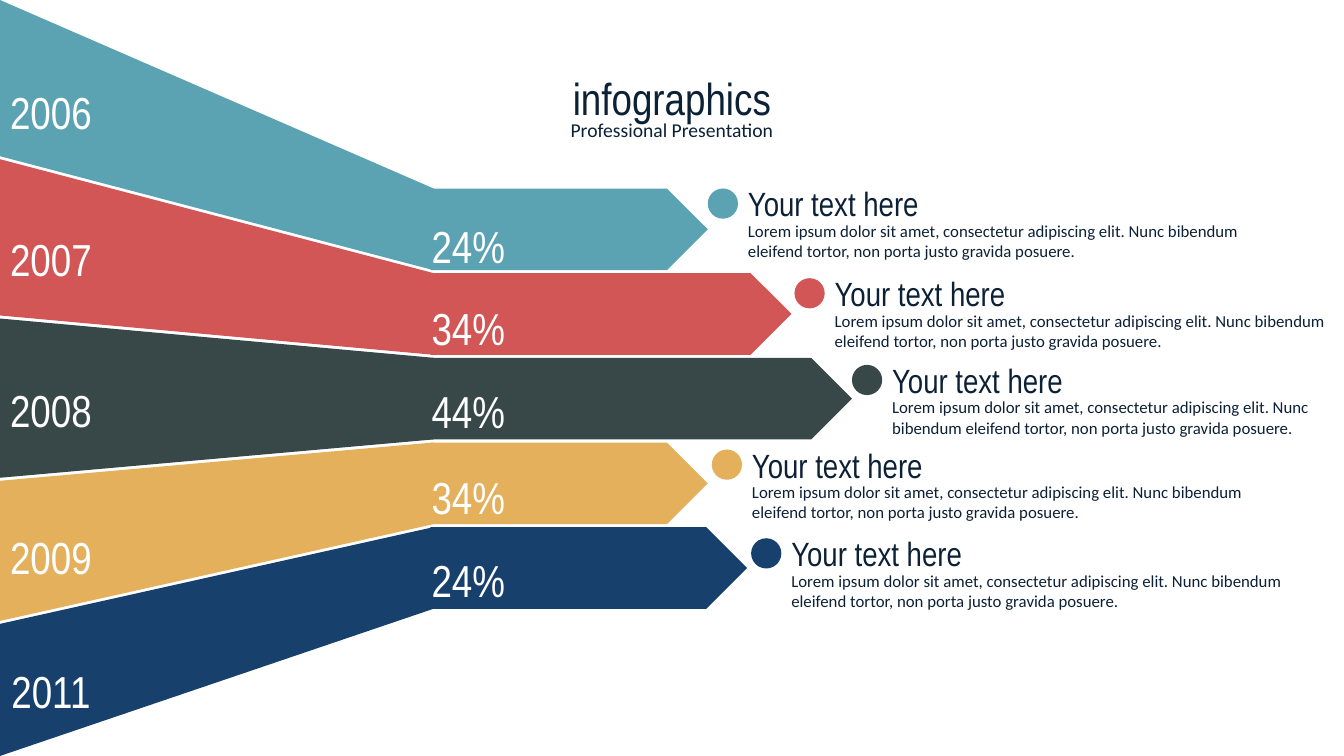
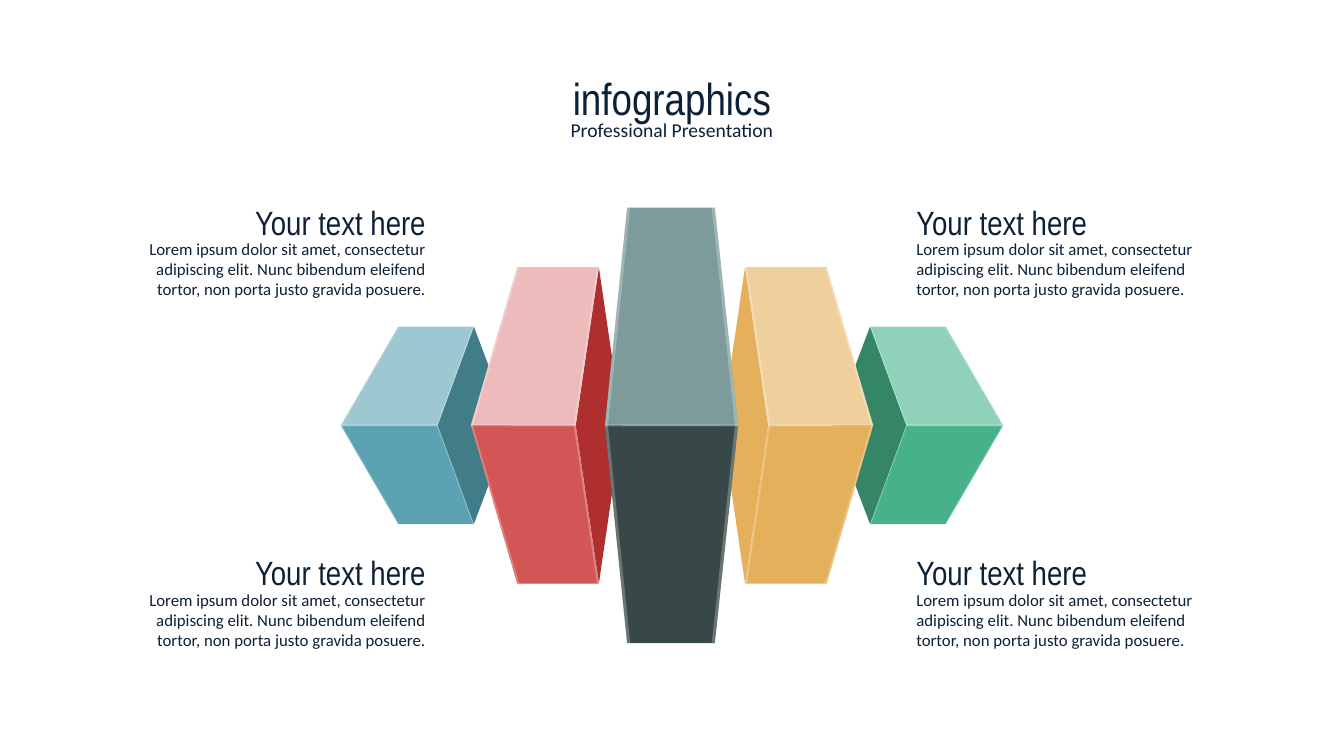
from pptx import Presentation
from pptx.dml.color import RGBColor
from pptx.enum.shapes import MSO_SHAPE
from pptx.enum.text import MSO_ANCHOR, MSO_AUTO_SIZE, PP_ALIGN
from pptx.oxml.xmlchemy import OxmlElement
from pptx.util import Inches, Pt

LEFT, CENTER, RIGHT = PP_ALIGN.LEFT, PP_ALIGN.CENTER, PP_ALIGN.RIGHT
ARROW, DOT = MSO_SHAPE.PENTAGON, MSO_SHAPE.OVAL
TOP, NO_FIT = MSO_ANCHOR.TOP, MSO_AUTO_SIZE.NONE
TITLE_ONLY = 5

# Shared look
COLORS = {
    "ink": "0C2036", "white": "FFFFFF",
    "teal": "5BA3B2", "teal_light": "9DC8D1", "teal_dark": "407D89",
    "red": "D25656", "red_light": "EDBBBB", "red_dark": "AF2F2F",
    "slate": "384848", "slate_light": "7E9B9B",
    "gold": "E4B05C", "gold_light": "EFD09D",
    "green": "47B189", "green_light": "8FD2B9", "green_dark": "358567",
    "navy": "17406D",
}
DISPLAY, BODY = "Arial Narrow", "Calibri"
SLIDE_WIDTH, SLIDE_HEIGHT = 13.33, 7.5

# Content
TITLE, SUBTITLE = "infographics", "Professional Presentation"
HEADING = "Your text here"
LOREM = ("Lorem ipsum dolor sit amet, consectetur adipiscing elit. "
         "Nunc bibendum eleifend tortor, non porta justo gravida posuere.")

# Year, share, colour, left edge top and bottom, year top, share top,
# arrow tip, dot left and top, caption width
BANDS = [
    ("2006", "24%", "teal", 0, 1.55, 0.79, 2.12, 7.02, 7.02, 1.87, 5.21),
    ("2007", "34%", "red", 1.58, 3.13, 2.25, 2.93, 7.85, 7.88, 2.76, 5.15),
    ("2008", "44%", "slate", 3.16, 4.74, 3.75, 3.76, 8.45, 8.45, 3.62, 4.47),
    ("2009", "34%", "gold", 4.77, 6.16, 5.21, 4.61, 7.02, 7.06, 4.46, 5.21),
    ("2011", "24%", "navy", 6.19, 7.5, 6.54, 5.43, 7.41, 7.45, 5.34, 5.21),
]
ARROW_LEFT, ARROW_TOP, ARROW_HEIGHT, ARROW_PITCH = 4.27, 1.87, 0.81, 0.84

# Blocks left of the middle: x of outer corner, outer end, inner corner,
# inner end and side tip, then half height, edge width,
# and (side, top, front) colours for the left block and its mirror image
BLOCKS = [
    ((3.38, 3.95, 4.34, 4.7, 5.07), 0.98, 0.01,
     ("teal_dark", "teal_light", "teal"),
     ("green_dark", "green_light", "green")),
    ((4.67, 5.13, 5.71, 5.94, 6.17), 1.57, 0.02,
     ("red_dark", "red_light", "red"),
     ("gold", "gold_light", "gold")),
]
MIDDLE_BLOCK = (6, 6.22, 7.32, 7.09)
MIDDLE_HALF, MIDDLE_EDGE = 2.16, 0.03
HORIZON = 4.22
CAPTIONS = [(left, top, align) for left, align in ((1.15, RIGHT), (8.99, LEFT))
            for top in (1.95, 5.43)]


def color(name):
    return RGBColor.from_string(COLORS[name])


def format_text(box, text, size, font=DISPLAY, ink="ink", align=LEFT, wrap=True):
    frame = box.text_frame
    frame.text = text
    frame.word_wrap = wrap
    frame.auto_size = NO_FIT
    frame.vertical_anchor = TOP
    para = frame.paragraphs[0]
    para.alignment = align
    para.font.size = Pt(size)
    para.font.name = font
    para.font.color.rgb = color(ink)


def add_text(page, area, text, size, **options):
    box = page.shapes.add_textbox(*map(Inches, area))
    format_text(box, text, size, **options)


def paint(shape, fill, alpha=None):
    shape.shadow.inherit = False
    shape.line.fill.background()
    shape.fill.solid()
    shape.fill.fore_color.rgb = color(fill)
    if alpha is not None:
        node = OxmlElement("a:alpha")
        node.set("val", str(alpha * 1000))
        shape.fill._xPr.find(".//{*}srgbClr").append(node)


def add_shape(page, kind, area, fill):
    paint(page.shapes.add_shape(kind, *map(Inches, area)), fill)


def add_polygon(page, points, fill, alpha=None):
    corners = [(Inches(x), Inches(y)) for x, y in points]
    builder = page.shapes.build_freeform(*corners[0], scale=1.0)
    builder.add_line_segments(corners[1:], close=True)
    paint(builder.convert_to_shape(), fill, alpha)


def add_caption(page, left, top, width, align=LEFT):
    add_text(page, (left, top + 0.37, width, 0.71), LOREM, 12,
             font=BODY, align=align)
    add_text(page, (left, top, 3.17, 0.5), HEADING, 24, align=align)


def new_page(deck):
    page = deck.slides.add_slide(deck.slide_layouts[TITLE_ONLY])
    title = page.shapes.title
    title.left, title.top, title.width, title.height = map(
        Inches, (0.88, 0.65, 11.57, 0.64))
    format_text(title, TITLE, 32, align=CENTER)
    add_text(page, (0.88, 1.12, 11.57, 0.34), SUBTITLE, 14,
             font=BODY, align=CENTER)
    return page


def build_bands(deck):
    page = new_page(deck)
    for index, band in enumerate(BANDS):
        (year, share, fill, edge_top, edge_bottom, year_top, share_top,
         tip, dot_left, dot_top, width) = band
        top = ARROW_TOP + index * ARROW_PITCH
        bottom = top + ARROW_HEIGHT
        # Flare and arrow
        add_polygon(page, [(0, edge_top), (4.3, top), (4.3, bottom),
                           (0, edge_bottom)], fill)
        add_shape(page, ARROW,
                  (ARROW_LEFT, top, tip - ARROW_LEFT, ARROW_HEIGHT), fill)
        # Labels
        for label, left, label_top in ((year, 0, year_top),
                                       (share, 4.14, share_top)):
            add_text(page, (left, label_top, 1.01, 0.6), label, 32,
                     ink="white", align=CENTER, wrap=False)
        # Caption with its dot
        add_caption(page, dot_left + 0.3, dot_top - 0.1, width)
        add_shape(page, DOT, (dot_left, dot_top, 0.3, 0.3), fill)


def add_faces(page, outer, outer_end, inner, inner_end, half, top_fill, front_fill):
    for end_y, fill in ((HORIZON - half, top_fill), (HORIZON + half, front_fill)):
        add_polygon(page, [(inner, HORIZON), (inner_end, end_y),
                           (outer_end, end_y), (outer, HORIZON)], fill)


def add_glint(page, corner, end, half, shift):
    """Pale strip along a bent edge, widened by shift."""
    top, bottom = HORIZON - half, HORIZON + half
    add_polygon(page, [(end, top), (corner, HORIZON), (end, bottom),
                       (end + shift, bottom), (corner + shift, HORIZON),
                       (end + shift, top)], "white", alpha=25)


def add_seam(page, start, end):
    add_polygon(page, [(start, HORIZON - 0.01), (end, HORIZON - 0.01),
                       (end, HORIZON + 0.01), (start, HORIZON + 0.01)],
                "white", alpha=25)


def build_blocks(deck):
    page = new_page(deck)
    # Mirrored side blocks, from the outside in
    for corners, half, edge, left_fills, right_fills in BLOCKS:
        mirrored = [SLIDE_WIDTH - x for x in corners]
        for xs, fills, shift in ((corners, left_fills, edge),
                                 (mirrored, right_fills, -edge)):
            outer, outer_end, inner, inner_end, side = xs
            side_fill, top_fill, front_fill = fills
            add_polygon(page, [(inner, HORIZON), (inner_end, HORIZON - half),
                               (side, HORIZON), (inner_end, HORIZON + half)],
                        side_fill)
            add_faces(page, outer, outer_end, inner, inner_end, half,
                      top_fill, front_fill)
            add_seam(page, outer, inner)
            add_glint(page, outer, outer_end, half, shift)
            add_glint(page, inner, inner_end, half, -shift)
    # Middle block
    left, left_end, right, right_end = MIDDLE_BLOCK
    add_faces(page, *MIDDLE_BLOCK, MIDDLE_HALF, "slate_light", "slate")
    add_seam(page, left, right)
    add_glint(page, left, left_end, MIDDLE_HALF, MIDDLE_EDGE)
    add_glint(page, right, right_end, MIDDLE_HALF, -MIDDLE_EDGE)
    # Captions
    for caption_left, top, align in CAPTIONS:
        add_caption(page, caption_left, top, 3.17, align)


def main():
    deck = Presentation()
    deck.slide_width = Inches(SLIDE_WIDTH)
    deck.slide_height = Inches(SLIDE_HEIGHT)
    build_bands(deck)
    build_blocks(deck)
    deck.save("out.pptx")


if __name__ == "__main__":
    main()
